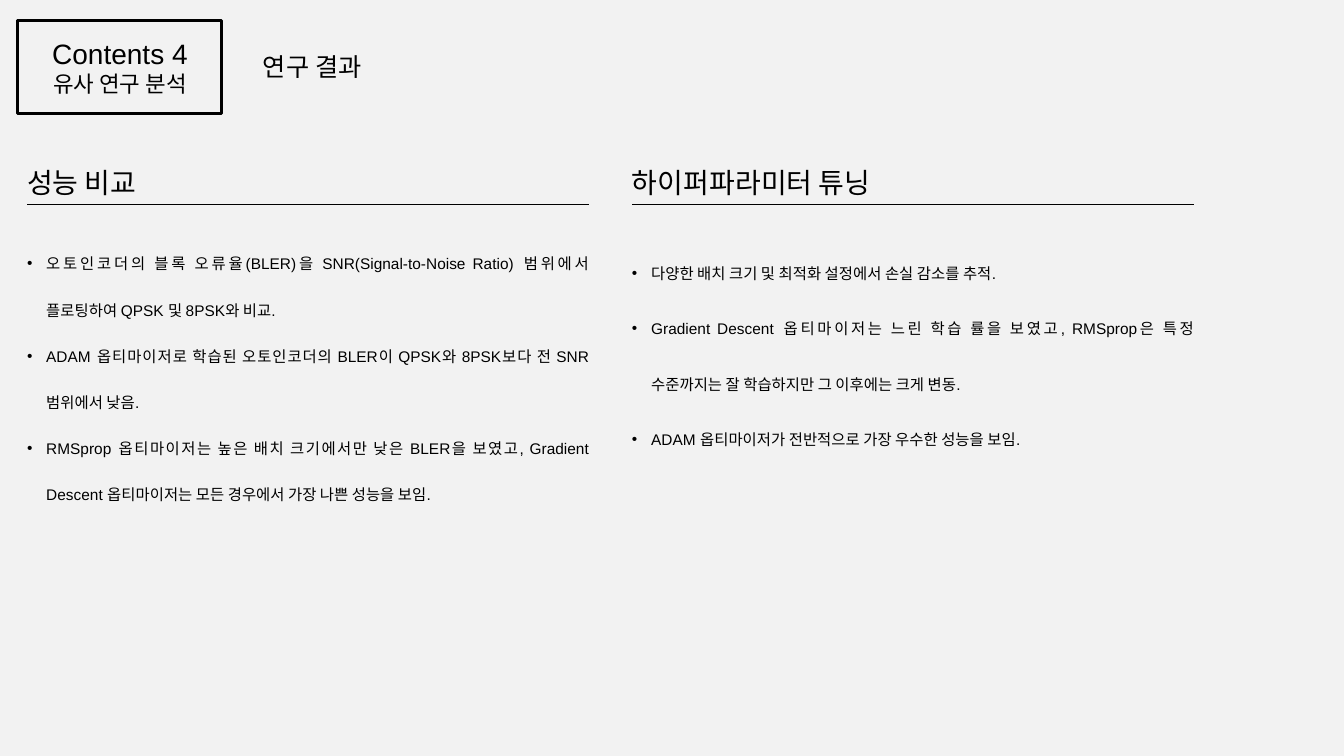
from lxml import etree
from pptx import Presentation
from pptx import util as u
from pptx.dml.color import RGBColor
from pptx.enum import shapes, text
from pptx.oxml.ns import qn

BLACK = RGBColor(0x00, 0x00, 0x00)
PAPER = RGBColor(0xF2, 0xF2, 0xF2)
BODY_FONT, HEADING_FONT = "Arial", "Lato"
CELL = 0.1  # inches, side of one grid cell

SECTIONS = [
    (1.7, "성능 비교", 28, 2.5, [
        "오토인코더의 블록 오류율(BLER)을 SNR(Signal-to-Noise Ratio) 범위에서 "
        "플로팅하여 QPSK 및 8PSK와 비교.",
        "ADAM 옵티마이저로 학습된 오토인코더의 BLER이 QPSK와 8PSK보다 전 "
        "SNR 범위에서 낮음.",
        "RMSprop 옵티마이저는 높은 배치 크기에서만 낮은 BLER을 보였고, "
        "Gradient Descent 옵티마이저는 모든 경우에서 가장 나쁜 성능을 보임.",
    ]),
    (61.7, "하이퍼파라미터 튜닝", 22.2, 3.0, [
        "다양한 배치 크기 및 최적화 설정에서 손실 감소를 추적.",
        "Gradient Descent 옵티마이저는 느린 학습 률을 보였고, RMSprop은 특정 "
        "수준까지는 잘 학습하지만 그 이후에는 크게 변동.",
        "ADAM 옵티마이저가 전반적으로 가장 우수한 성능을 보임.",
    ]),
]


def grid(*cells):
    """Turn columns and rows into lengths."""
    return [u.Inches(c * CELL) for c in cells]


class SlideBuilder:
    def __init__(self, prs):
        self.slide = prs.slides.add_slide(prs.slide_layouts[6])
        fill = self.slide.background.fill
        fill.solid()
        fill.fore_color.rgb = PAPER

    def text_box(self, col, row, cols, rows):
        sp = self.slide.shapes.add_textbox(*grid(col, row, cols, rows))
        tf = sp.text_frame
        tf.word_wrap = True
        tf.auto_size = text.MSO_AUTO_SIZE.SHAPE_TO_FIT_TEXT
        return tf

    def run(self, p, wording, size, font):
        r = p.add_run()
        r.text = wording
        r.font.size = u.Pt(size)
        r.font.name = font
        r.font.color.rgb = BLACK
        self.outline(r)

    def outline(self, r):
        """Give the letters a thin, mostly transparent edge."""
        ln = etree.Element(qn("a:ln"), w=str(u.Pt(0.75)))
        fill = etree.SubElement(ln, qn("a:solidFill"))
        color = etree.SubElement(fill, qn("a:srgbClr"), val=str(BLACK))
        etree.SubElement(color, qn("a:alpha"), val="30000")
        r.font._element.insert(0, ln)

    def lines(self, box, items, font=BODY_FONT, align=None):
        """Write (wording, size) items, one paragraph each."""
        tf = self.text_box(*box)
        for i, (wording, size) in enumerate(items):
            p = tf.add_paragraph() if i else tf.paragraphs[0]
            p.alignment = align
            self.run(p, wording, size, font)
        return tf

    def bullets(self, box, items, spacing):
        tf = self.lines(box, [(item, 11) for item in items],
                        align=text.PP_ALIGN.JUSTIFY)
        for p in tf.paragraphs:
            p.line_spacing = spacing
            pPr = p._p.get_or_add_pPr()
            indent = u.Inches(0.19)
            pPr.set("marL", str(indent))
            pPr.set("indent", str(-indent))
            etree.SubElement(pPr, qn("a:buFont"), typeface=BODY_FONT)
            etree.SubElement(pPr, qn("a:buChar"), char="•")

    def frame(self, *box):
        sp = self.slide.shapes.add_shape(shapes.MSO_SHAPE.RECTANGLE, *grid(*box))
        sp.shadow.inherit = False
        sp.fill.background()
        sp.line.color.rgb = BLACK
        sp.line.width = u.Pt(2)

    def rule(self, col, row, cols):
        line = self.slide.shapes.add_connector(
            shapes.MSO_CONNECTOR.STRAIGHT, *grid(col, row, col + cols, row))
        line.line.color.rgb = BLACK
        line.line.width = u.Pt(1.25)
        etree.SubElement(line._element.spPr, qn("a:effectLst"))

    def section(self, col, heading, rows, spacing, items):
        self.lines((col, 15.9, 33.7, 4.4), [(heading, 20)], HEADING_FONT)
        self.bullets((col, 22, 57.7, rows), items, spacing)
        self.rule(col + 1, 20.3, 55.7)


def main():
    prs = Presentation()
    prs.slide_width, prs.slide_height = u.Inches(13.33), u.Inches(7.5)
    page = SlideBuilder(prs)
    page.lines((2.3, 3.1, 19.2, 7.1),
               [("Contents 4", 20), ("유사 연구 분석", 16)],
               align=text.PP_ALIGN.CENTER)
    page.frame(1.7, 2, 20.3, 9.3)
    page.lines((25.1, 4.6, 70.2, 4), [("연구 결과", 18)])
    for section in SECTIONS:
        page.section(*section)
    prs.save("out.pptx")


if __name__ == "__main__":
    main()
